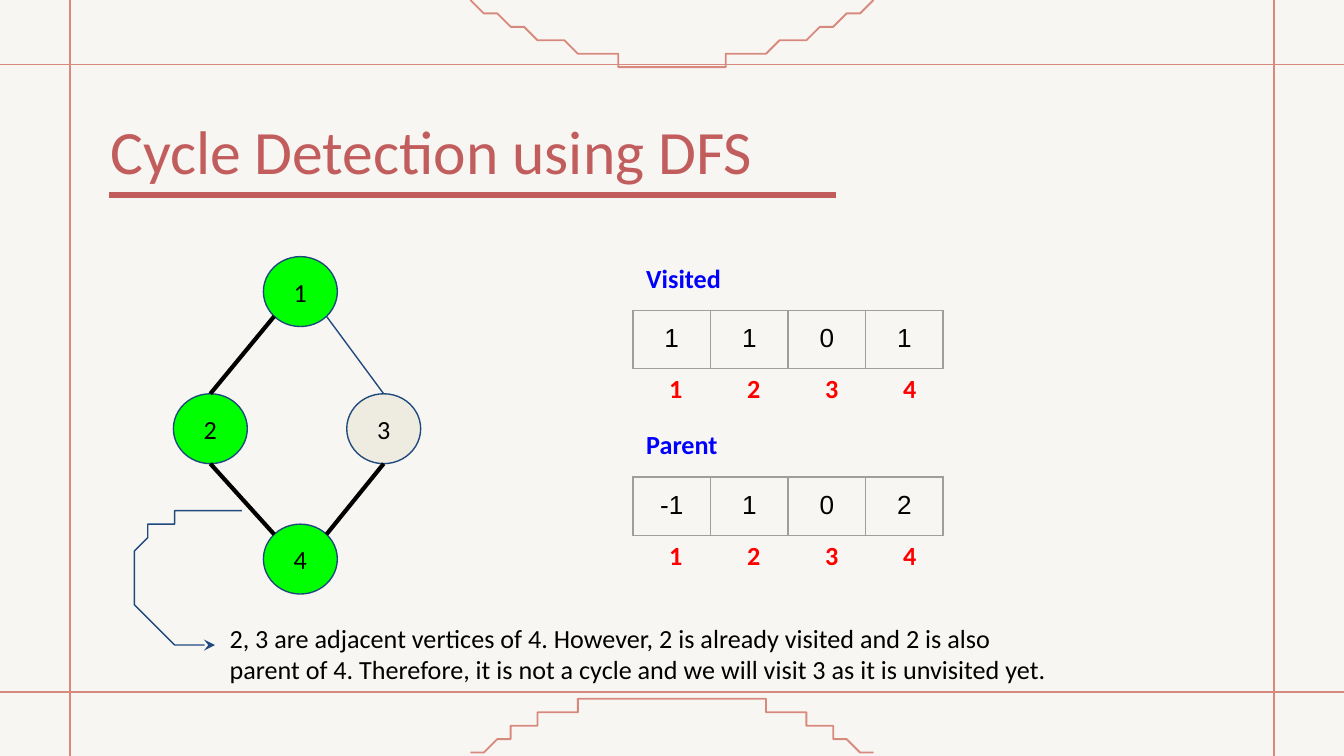
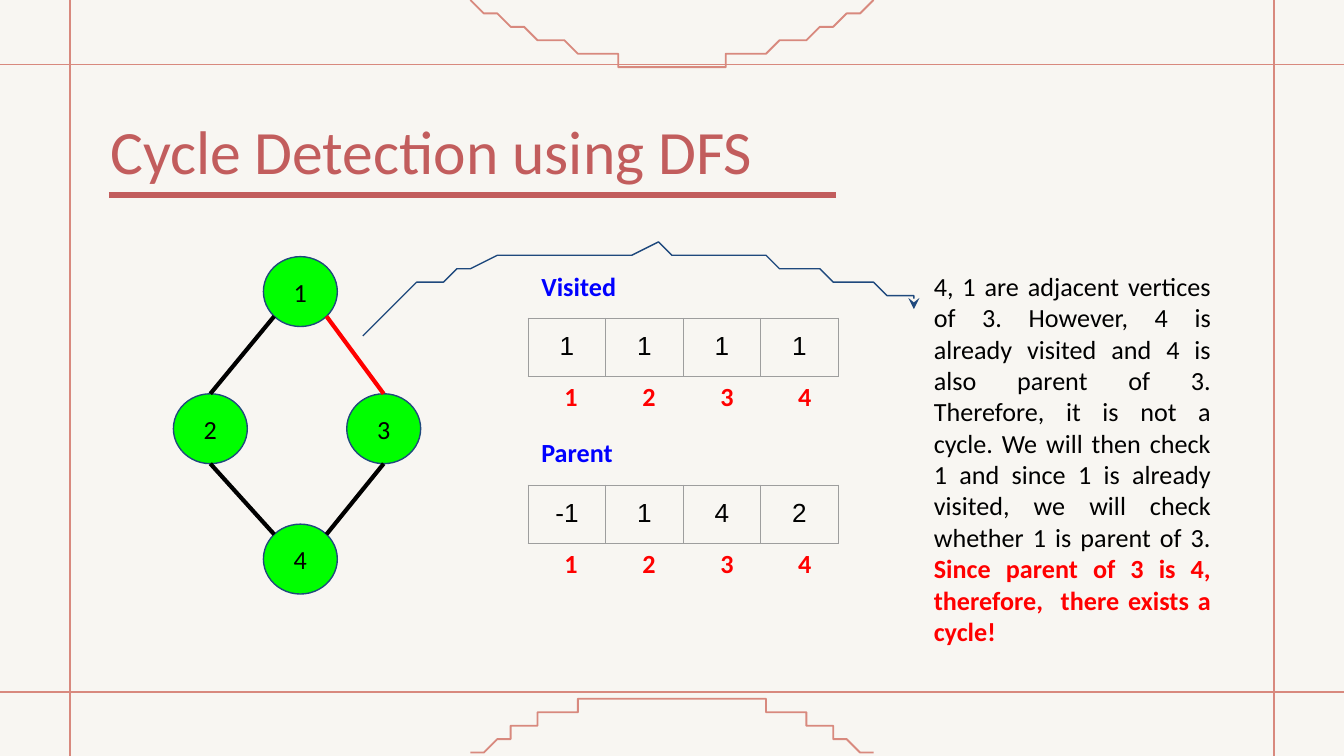
"""Build two slides that trace cycle detection with depth-first search."""
import math

import lxml.etree
import pptx
import pptx.dml.color
import pptx.enum.shapes
import pptx.enum.text
import pptx.oxml.ns
import pptx.util

COLORS = {
    "paper": "F8F6F2", "frame": "D8897E", "title": "C25D5D", "ink": "000000",
    "navy": "1F497D", "visited": "00FF00", "unvisited": "EEECE1",
    "label": "0000FF", "alert": "FF0000", "grid": "9E9E9E",
}
RGB = {name: pptx.dml.color.RGBColor.from_string(code) for name, code in COLORS.items()}
qn = pptx.oxml.ns.qn
ALIGN = pptx.enum.text.PP_ALIGN
ANCHOR = pptx.enum.text.MSO_ANCHOR
SHAPE = pptx.enum.shapes.MSO_SHAPE
STRAIGHT = pptx.enum.shapes.MSO_CONNECTOR.STRAIGHT

COLUMNS, ROWS = 100, 56.25
UNIT = pptx.util.Inches(0.1)
NODE_WIDTH, NODE_HEIGHT = 5.5, 5.2
CELL_WIDTH, CELL_HEIGHT = 5.77, 4.3
FRAME_TOP, FRAME_BOTTOM, FRAME_SIDE = 4.8, 51.5, 5.2
ARC_RADIUS, ARC_STEPS, CURVE_STEPS = 25.5, 40, 16
NODES = {1: (22.35, 21.7), 2: (15.65, 31.9), 3: (28.55, 31.9), 4: (22.35, 41.6)}
EDGES = [(1, 2), (1, 3), (4, 2), (4, 3)]

SLIDES = [
    {
        "unvisited": [3],
        "special_edge": ("navy", 0.75),
        "arrays": (47.1, 18.5),
        "values": {"Visited": [1, 1, 0, 1], "Parent": [-1, 1, 0, 2]},
        "note_box": (16.1, 45.3, 63.4, 6.7),
        "note_align": ALIGN.LEFT,
        "note": [("2, 3 are adjacent vertices of 4. However, 2 is already visited and 2 is "
                  "also parent of 4. Therefore, it is not a cycle and we will visit 3 as it "
                  "is unvisited yet.", "ink", False)],
        "arrow": [(17.5, 37.8), (16, 37.9), (14.5, 37.9), (13.2, 38.3), (11.8, 38.8),
                  (10.9, 39.7), (10.4, 40.7), (8.8, 43.3), (11.3, 48.5), (15.7, 48.5)],
    },
    {
        "unvisited": [],
        "special_edge": ("alert", 2.25),
        "arrays": (39.3, 19.1),
        "values": {"Visited": [1, 1, 1, 1], "Parent": [-1, 1, 4, 2]},
        "note_box": (68.5, 19.1, 22.6, 28.1),
        "note_align": ALIGN.JUSTIFY,
        "note": [("4, 1 are adjacent vertices of 3. However, 4 is already visited and 4 is "
                  "also parent of 3. Therefore, it is not a cycle. We will then check 1 and "
                  "since 1 is already visited, we will check whether 1 is parent of 3. ",
                  "ink", False),
                 ("Since parent of 3 is 4, therefore,  there exists a cycle!", "alert", True)],
        "arrow": [(27.3, 25), (31.4, 18.8), (41.3, 18.5), (48.8, 18.5), (53.5, 18.5),
                  (58.2, 19.5), (62.7, 20.9), (64.7, 21.5), (67.1, 21.3), (68.5, 22.7)],
    },
]


def write(frame, spans, align=ALIGN.LEFT, anchor=ANCHOR.TOP, size=14, font="Calibri", inset=1):
    """Fill a text frame with one paragraph of (text, colour, bold) spans."""
    margins = {f"margin_{side}": int(inset * UNIT) for side in ("left", "right", "top", "bottom")}
    for name, value in {**margins, "word_wrap": True, "vertical_anchor": anchor}.items():
        setattr(frame, name, value)
    para = frame.paragraphs[0]
    para.alignment = align
    for text, color, bold in spans:
        span = para.add_run()
        span.text = text
        for name, value in {"name": font, "size": pptx.util.Pt(size), "bold": bold}.items():
            setattr(span.font, name, value)
        span.font.color.rgb = RGB[color]
    return para


def stroke(shape, color, width):
    """Colour the line of a shape or connector and take its shadow away."""
    shape.line.color.rgb = RGB[color]
    shape.line.width = pptx.util.Pt(width)
    lxml.etree.SubElement(shape.element.spPr, qn("a:effectLst"))
    return shape


deck = pptx.Presentation()
deck.slide_width, deck.slide_height = int(COLUMNS * UNIT), int(ROWS * UNIT)
layout = deck.slide_layouts[5]
backdrop = deck.slide_master.background.fill
backdrop.solid()
backdrop.fore_color.rgb = RGB["paper"]
pages = [deck.slides.add_slide(layout) for _ in SLIDES]

shared = []
for left, top, right, bottom, color, width in [
    (0, FRAME_BOTTOM, COLUMNS, FRAME_BOTTOM, "frame", 1),
    (0, FRAME_TOP, COLUMNS, FRAME_TOP, "frame", 1),
    (COLUMNS - FRAME_SIDE, 0, COLUMNS - FRAME_SIDE, ROWS, "frame", 1),
    (FRAME_SIDE, 0, FRAME_SIDE, ROWS, "frame", 1),
    (8.1, 14.5, 62.2, 14.5, "title", 3),
]:
    ends = [int(value * UNIT) for value in (left, top, right, bottom)]
    shared.append(stroke(pages[0].shapes.add_connector(STRAIGHT, *ends), color, width))
for edge, direction, half in [(FRAME_TOP, -1, 14.9), (FRAME_BOTTOM, 1, 14.7)]:
    points = []
    for step in range(ARC_STEPS + 1):
        offset = half * (2 * step / ARC_STEPS - 1)
        sag = ARC_RADIUS - math.sqrt(ARC_RADIUS ** 2 - offset ** 2)
        points.append((COLUMNS / 2 + offset, edge + direction * sag))
    builder = pages[0].shapes.build_freeform(*points[0], scale=UNIT)
    builder.add_line_segments(points[1:], close=False)
    arc = builder.convert_to_shape()
    arc.fill.background()
    shared.append(stroke(arc, "frame", 1))
for number, shape in enumerate(shared, 100):
    shape.element.xpath(".//p:cNvPr")[0].set("id", str(number))
    layout.shapes.element.append(shape.element)

for page, content in zip(pages, SLIDES):
    title = page.shapes.title
    for name, value in {"left": 8.2, "top": 8.4, "width": 54.7, "height": 5.6}.items():
        setattr(title, name, int(value * UNIT))
    write(title.text_frame, [("Cycle Detection using DFS", "title", False)], size=33, inset=0)
    title.text_frame.auto_size = pptx.enum.text.MSO_AUTO_SIZE.NONE

    nodes = {}
    for number, (x, y) in NODES.items():
        box = (x - NODE_WIDTH / 2, y - NODE_HEIGHT / 2, NODE_WIDTH, NODE_HEIGHT)
        node = page.shapes.add_shape(SHAPE.OVAL, *[int(value * UNIT) for value in box])
        stroke(node, "navy", 0.75)
        node.fill.solid()
        node.fill.fore_color.rgb = RGB["unvisited" if number in content["unvisited"] else "visited"]
        write(node.text_frame, [(str(number), "ink", False)], ALIGN.CENTER, ANCHOR.MIDDLE)
        nodes[number] = node

    for pole, side in EDGES:
        (pole_x, pole_y), (side_x, side_y) = NODES[pole], NODES[side]
        across = math.copysign(NODE_WIDTH / 2, side_x - pole_x)
        down = math.copysign(NODE_HEIGHT / 2, side_y - pole_y)
        diagonal = math.sqrt(0.5)
        ends = (pole_x + across * diagonal, pole_y + down * diagonal, side_x, side_y - down)
        edge = page.shapes.add_connector(STRAIGHT, *[int(value * UNIT) for value in ends])
        if down > 0:
            edge.end_connect(nodes[side], 0)
        stroke(edge, *(content["special_edge"] if (pole, side) == (1, 3) else ("ink", 2.25)))

    left, first_top = content["arrays"]
    for index, (name, values) in enumerate(content["values"].items()):
        top = first_top + index * 12.4
        table_box = (left, top + 4.6, CELL_WIDTH * len(values), CELL_HEIGHT)
        table = page.shapes.add_table(
            1, len(values), *[int(value * UNIT) for value in table_box]).table
        table.first_row = table.horz_banding = False
        for cell, value in zip(table.rows[0].cells, values):
            properties = cell._tc.get_or_add_tcPr()
            for side in ("lnL", "lnR", "lnT", "lnB"):
                border = lxml.etree.SubElement(
                    properties, qn(f"a:{side}"), w=str(pptx.util.Pt(0.75)))
                solid = lxml.etree.SubElement(border, qn("a:solidFill"))
                lxml.etree.SubElement(solid, qn("a:srgbClr"), val=COLORS["grid"])
            cell.fill.background()
            write(cell.text_frame, [(str(value), "ink", False)], ALIGN.CENTER, font="Arial")
            for side in ("left", "right", "top", "bottom"):
                setattr(cell, f"margin_{side}", UNIT)

        for text, color, offset, width in [
            (name, "label", 0, 9),
            ("".join(f"\t{number}" for number in NODES), "alert", 8.2, 49.5),
        ]:
            box = page.shapes.add_textbox(
                *[int(value * UNIT) for value in (left, top + offset, width, 5.8)])
            para = write(box.text_frame, [(text, color, True)])
            if text.startswith("\t"):
                stops = lxml.etree.SubElement(para._p.get_or_add_pPr(), qn("a:tabLst"))
                for column in range(len(NODES)):
                    lxml.etree.SubElement(
                        stops, qn("a:tab"), pos=str(int((2.2 + 5.8 * column) * UNIT)), algn="ctr")

    note = page.shapes.add_textbox(*[int(value * UNIT) for value in content["note_box"]])
    write(note.text_frame, content["note"], content["note_align"])

    anchors = content["arrow"]
    points = []
    for start in range(0, len(anchors) - 1, 3):
        for step in range(1, CURVE_STEPS + 1):
            t = step / CURVE_STEPS
            weights = [math.comb(3, k) * t ** k * (1 - t) ** (3 - k) for k in range(4)]
            controls = anchors[start:start + 4]
            points.append([sum(w * point[axis] for w, point in zip(weights, controls))
                           for axis in range(2)])
    builder = page.shapes.build_freeform(*anchors[0], scale=UNIT)
    builder.add_line_segments(points, close=False)
    arrow = builder.convert_to_shape()
    arrow.fill.background()
    stroke(arrow, "navy", 0.75)
    lxml.etree.SubElement(arrow.element.spPr.find(qn("a:ln")), qn("a:tailEnd"), type="stealth")

deck.save("out.pptx")
